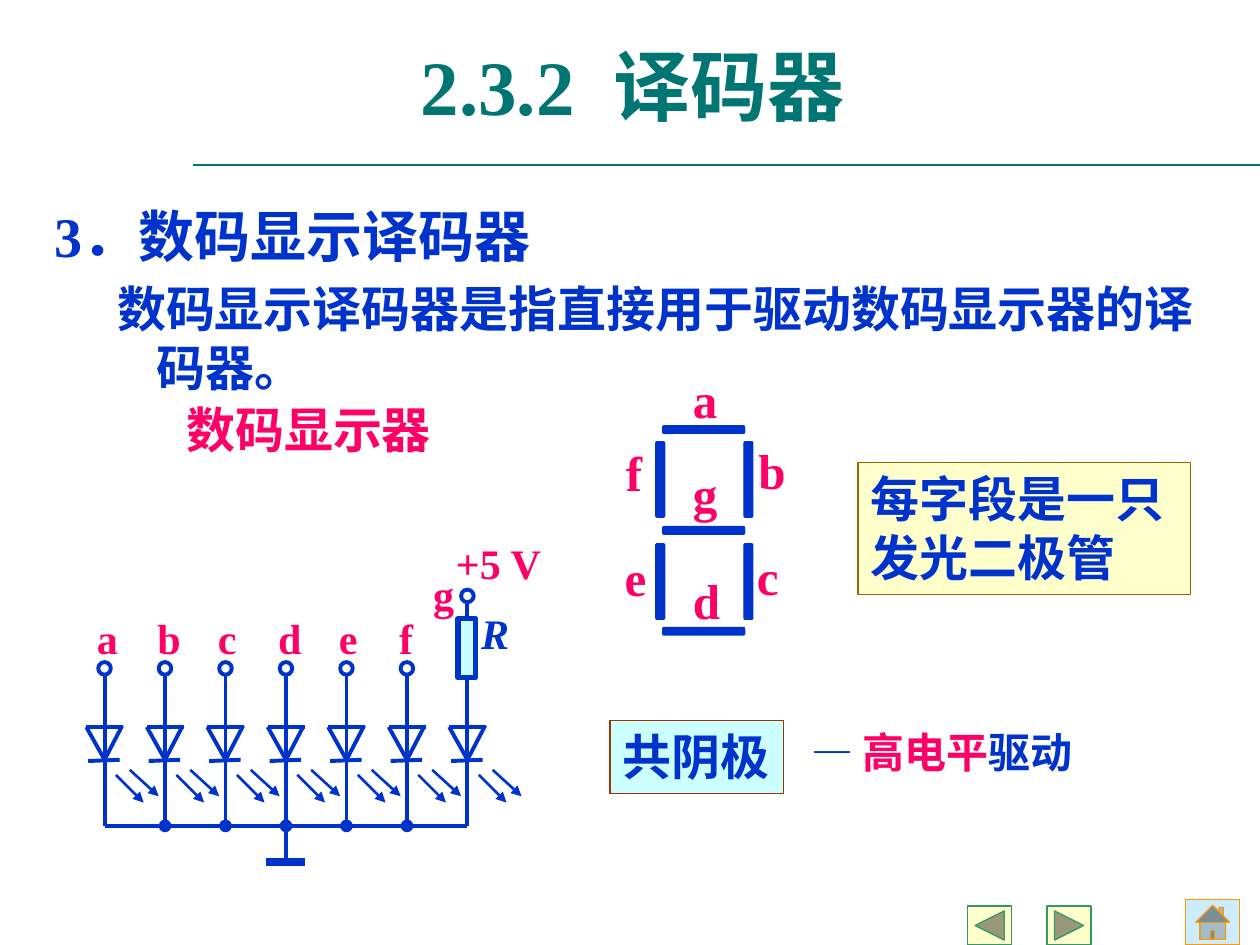
"""Build the slide on display decoders, on a grid of 100 columns by 75 rows."""
import pptx
import pptx.dml.color
import pptx.enum.shapes
import pptx.enum.text
import pptx.oxml.ns
import pptx.util
from lxml import etree

SHAPE = pptx.enum.shapes.MSO_SHAPE
ANCHOR = pptx.enum.text.MSO_ANCHOR
ALIGN = pptx.enum.text.PP_ALIGN
FIT = pptx.enum.text.MSO_AUTO_SIZE

THEME = dict(font="Times New Roman", title=44, heading=32, body=28, small=24,
             teal="007572", blue="0033CC", pink="FF0066", yellow="FFFFCC",
             cyan="CCFFFF", sky="CCECFF", brown="996600", rust="993300",
             green="339966", orange="FF9900")

TITLE = "2.3.2  译码器"
BODY = [("3．数码显示译码器", "heading", 0, 3.8, -3.8),
        ("数码显示译码器是指直接用于驱动数码显示器的译码器。", "body", 1, 8.1, -3.1)]
BUTTONS = [(SHAPE.ACTION_BUTTON_FORWARD_OR_NEXT, (83.1, 71.9, 3.5, 3.1), "yellow", "green"),
           (SHAPE.ACTION_BUTTON_BACK_OR_PREVIOUS, (76.8, 71.9, 3.5, 3.1), "yellow", "green"),
           (SHAPE.ACTION_BUTTON_HOME, (94.1, 71.4, 4.3, 3.6), "sky", "orange")]
SUBHEAD = [[("数码显示器", "pink")]]
NOTE = [[("每字段是一只", "blue")], [("发光二极管", "blue")]]
COMMON = [[("共阴极", "blue")]]
DRIVE = [[("— ", "blue"), ("高电平", "pink"), ("驱动", "blue")]]

SEGMENT_LABELS = [("a", 54, 28.8, 4), ("e", 48.6, 43, 3.7), ("b", 59.2, 34.5, 4.2),
                  ("c", 59.1, 42.9, 3.7), ("f", 48.7, 34.6, 3.3),
                  ("g", 54, 36.3, 4), ("d", 54, 44.8, 4.2)]
FLAT_ROWS = (33.8, 41.8, 49.8)
UPRIGHT_COLUMNS, UPRIGHT_ROWS = (49.4, 56.4), (37.7, 45.8)

DIODES = [("a", 3.7), ("b", 3.9), ("c", 3.5), ("d", 3.9), ("e", 3.5), ("f", 3.1), ("g", 3.7)]
FIRST_DIODE, PITCH, BUS = 8.3, 4.8, 65.55
DIODE_LINES = [(-1.45, 57.7, 1.5, 57.7), (0, 60.3, -1.45, 57.7),
               (1.4, 57.6, 0, 60.3), (-1.3, 60.4, 1.2, 60.3)]
LIGHT_RAYS = [(0.9, 61.5, 3.1, 63.7), (2, 61.1, 4.3, 63.2)]

prs = pptx.Presentation()
prs.slide_width, prs.slide_height = pptx.util.Inches(10), pptx.util.Inches(7.5)
CELL = prs.slide_width // 100


def grid(*cells):
    return [round(c * CELL) for c in cells]


def color(name):
    return pptx.dml.color.RGBColor.from_string(THEME[name])


def add_run(p, text, size, name, italic=False):
    r = p.add_run()
    r.text = text
    r.font.name, r.font.size = THEME["font"], pptx.util.Pt(THEME[size])
    r.font.bold, r.font.italic = True, italic
    r.font.color.rgb = color(name)


def write(sp, paragraphs, size, wrap=True, italic=False):
    tf = sp.text_frame
    tf.word_wrap, tf.auto_size = wrap, FIT.SHAPE_TO_FIT_TEXT
    tf.vertical_anchor = ANCHOR.TOP
    for i, runs in enumerate(paragraphs):
        p = tf.add_paragraph() if i else tf.paragraphs[0]
        p.alignment = ALIGN.LEFT
        for text, name in runs:
            add_run(p, text, size, name, italic)


def add_text(shapes, box, paragraphs, size, wrap=True, italic=False):
    write(shapes.add_textbox(*grid(*box)), paragraphs, size, wrap, italic)


def add_shape(shapes, kind, box, fill, line, width=0.75):
    sp = shapes.add_shape(kind, *grid(*box))
    sp.shadow.inherit = False
    if fill:
        sp.fill.solid()
        sp.fill.fore_color.rgb = color(fill)
    else:
        sp.fill.background()
    sp.line.color.rgb, sp.line.width = color(line), pptx.util.Pt(width)
    return sp


def add_line(shapes, ends, name="blue", width=2.25, arrow=False):
    line = shapes.add_connector(pptx.enum.shapes.MSO_CONNECTOR.STRAIGHT, *grid(*ends))
    line.line.color.rgb, line.line.width = color(name), pptx.util.Pt(width)
    qn = pptx.oxml.ns.qn
    if arrow:
        etree.SubElement(line.line._get_or_add_ln(), qn("a:tailEnd"), type="triangle")
    etree.SubElement(line._element.spPr, qn("a:effectLst"))


def add_dot(shapes, x, y, size, fill, width):
    add_shape(shapes, SHAPE.OVAL, (x - size / 2, y - size / 2, size, size), fill, "blue", width)


def place(sp, box):
    sp.left, sp.top, sp.width, sp.height = grid(*box)
    sp.text_frame.auto_size = FIT.NONE
    return sp.text_frame


def add_headings(s):
    tf = place(s.shapes.title, (3.5, 0.5, 93.4, 12.5))
    tf.vertical_anchor = ANCHOR.MIDDLE
    tf.paragraphs[0].alignment = ALIGN.CENTER
    add_run(tf.paragraphs[0], TITLE, "title", "teal")
    tf = place(s.placeholders[1], (3.3, 15.5, 93.4, 48.7))
    for i, (text, size, level, margin, indent) in enumerate(BODY):
        p = tf.add_paragraph() if i else tf.paragraphs[0]
        p.level, p.space_before = level, pptx.util.Pt(THEME[size] * 0.2)
        pPr = p._p.get_or_add_pPr()
        pPr.set("marL", str(grid(margin)[0]))
        pPr.set("indent", str(grid(indent)[0]))
        etree.SubElement(pPr, pptx.oxml.ns.qn("a:buNone"))
        add_run(p, text, size, "blue")


def add_display(shapes):
    bars = [(52.6, y, 6.5, 0.6, 0) for y in FLAT_ROWS]
    bars += [(x, y, 6, 0.7, 270) for x in UPRIGHT_COLUMNS for y in UPRIGHT_ROWS]
    for *box, turn in bars:
        add_shape(shapes, SHAPE.ROUNDED_RECTANGLE, box, "blue", "blue").rotation = turn
    for text, x, y, w in SEGMENT_LABELS:
        add_text(shapes, (x, y, w, 5.7), [[(text, "pink")]], "body", wrap=False)


def add_circuit(shapes):
    columns = [FIRST_DIODE + i * PITCH for i in range(len(DIODES))]
    last, middle = columns[-1], columns[3]
    for x, (text, w) in zip(columns, DIODES):
        for x1, y1, x2, y2 in DIODE_LINES:
            add_line(shapes, (x + x1, y1, x + x2, y2))
        for x1, y1, x2, y2 in LIGHT_RAYS:
            add_line(shapes, (x + x1, y1, x + x2, y2), width=1.5, arrow=True)
        left, top, terminal = (x - 3.7, 44.6, 47.3) if x == last else (x - 1.6, 48.1, 53.05)
        add_text(shapes, (left, top, w, 5), [[(text, "pink")]], "small", wrap=False)
        add_line(shapes, (x, BUS, x, terminal + 0.5))
        add_dot(shapes, x, terminal, 1, None, 2.25)
    add_line(shapes, (columns[0], BUS, last, BUS))
    for x in columns[1:-1]:
        add_dot(shapes, x, BUS, 0.8, "blue", 1.5)
    add_line(shapes, (middle, 68.4, middle, BUS))
    add_line(shapes, (middle - 1.6, 68.4, middle + 1.5, 68.4), width=4.5)
    add_shape(shapes, SHAPE.RECTANGLE, (last - 0.75, 49.1, 1.4, 4.7), "cyan", "blue", 3)
    add_text(shapes, (37.2, 47.7, 4.2, 5), [[("R", "blue")]], "small", wrap=False, italic=True)
    add_text(shapes, (35.2, 42.2, 8.8, 5), [[("+5 V", "pink")]], "small", wrap=False)


def main():
    s = prs.slides.add_slide(prs.slide_layouts[1])
    for kind, box, fill, line in BUTTONS:
        add_shape(s.shapes, kind, box, fill, line)
    add_line(s.shapes, (15.3, 13.1, 100, 13.1), "teal", 0.75)
    add_headings(s)
    note = add_shape(s.shapes, SHAPE.RECTANGLE, (68.1, 36.7, 26.4, 10.5), "yellow", "brown")
    write(note, NOTE, "body")
    add_text(s.shapes, (13.8, 31.2, 26, 5.7), SUBHEAD, "body")
    add_display(s.shapes.add_group_shape().shapes)
    common = add_shape(s.shapes, SHAPE.RECTANGLE, (48.4, 57.2, 13.8, 5.8), "cyan", "rust")
    write(common, COMMON, "body", wrap=False)
    add_circuit(s.shapes.add_group_shape().shapes)
    add_text(s.shapes, (63.4, 57.2, 29, 5), DRIVE, "small")
    prs.save("out.pptx")


if __name__ == "__main__":
    main()
